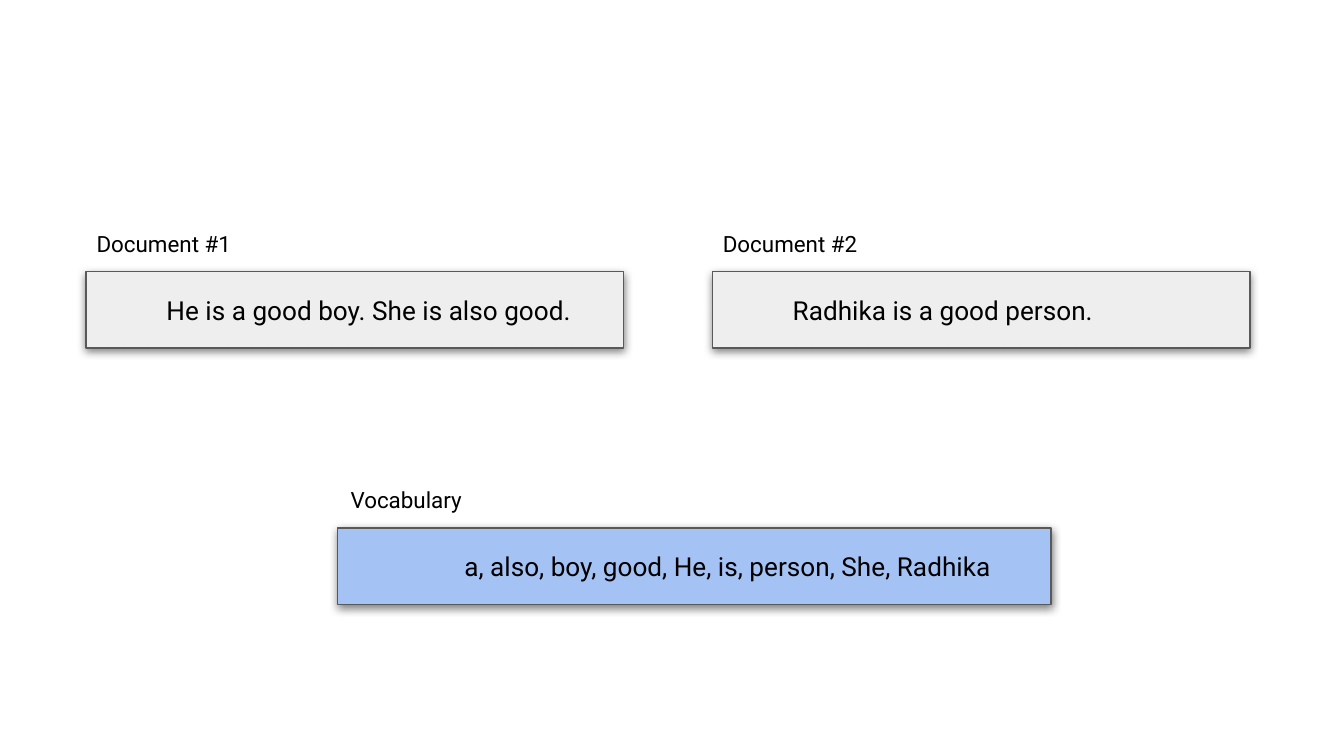
"""Build a slide with two documents and the vocabulary drawn from them."""
import pptx
import pptx.dml.color
import pptx.enum.shapes
import pptx.enum.text
import pptx.oxml
import pptx.oxml.ns
import pptx.util

Inches = pptx.util.Inches
ALIGN = pptx.enum.text.PP_ALIGN
ANCHOR = pptx.enum.text.MSO_ANCHOR

SLIDE_WIDTH = 10
SLIDE_HEIGHT = SLIDE_WIDTH * 9 / 16
COLOURS = {"text": "000000", "document": "EEEEEE", "vocabulary": "A4C2F4", "border": "595959"}
FONT = "Roboto"
LABEL_HEIGHT, BOX_HEIGHT = 0.41, 0.57
PANELS = [
    {"label": "Document #1", "words": "He is a good boy. She is also good.", "fill": "document",
     "left": 0.64, "top": 2.02, "width": 4, "label_left": 0.62, "label_width": 4, "align": ALIGN.LEFT},
    {"label": "Document #2", "words": "Radhika is a good person.", "fill": "document",
     "left": 5.3, "top": 2.02, "width": 4, "label_left": 5.28, "label_width": 4, "align": ALIGN.LEFT},
    {"label": "Vocabulary", "words": "a, also, boy, good, He, is, person, She, Radhika", "fill": "vocabulary",
     "left": 2.51, "top": 3.93, "width": 5.31, "label_left": 2.51, "label_width": 4.98, "align": ALIGN.CENTER},
]


def colour(name):
    return pptx.dml.color.RGBColor.from_string(COLOURS[name])


def write(shape, text, size, align, anchor):
    frame = shape.text_frame
    frame.text = text
    frame.word_wrap = True
    frame.vertical_anchor = anchor
    frame.margin_left = frame.margin_right = frame.margin_top = frame.margin_bottom = Inches(0.1)
    para = frame.paragraphs[0]
    para.alignment = align
    span = para.runs[0]
    span.font.name = FONT
    span.font.size = pptx.util.Pt(size)
    span.font.color.rgb = colour("text")
    return para


def add_shadow(shape):
    shape.shadow.inherit = False
    effects = shape.element.spPr.find(pptx.oxml.ns.qn("a:effectLst"))
    effects.append(pptx.oxml.parse_xml(
        f'<a:outerShdw {pptx.oxml.ns.nsdecls("a")} blurRad="{pptx.util.Pt(4.5)}" dist="{pptx.util.Pt(1.5)}" '
        f'dir="5400000" algn="bl" rotWithShape="0"><a:srgbClr val="{COLOURS["text"]}">'
        '<a:alpha val="50000"/></a:srgbClr></a:outerShdw>'))


def add_panel(slide, panel):
    box = slide.shapes.add_shape(
        pptx.enum.shapes.MSO_SHAPE.RECTANGLE, Inches(panel["left"]), Inches(panel["top"]),
        Inches(panel["width"]), Inches(BOX_HEIGHT))
    box.fill.solid()
    box.fill.fore_color.rgb = colour(panel["fill"])
    box.line.color.rgb = colour("border")
    box.line.width = pptx.util.Pt(0.75)
    add_shadow(box)
    para = write(box, panel["words"], 14, panel["align"], ANCHOR.MIDDLE)
    properties = para._p.get_or_add_pPr()
    properties.set("marL", str(Inches(0.5)))
    properties.set("indent", "0")

    label = slide.shapes.add_textbox(
        Inches(panel["label_left"]), Inches(panel["top"] - LABEL_HEIGHT),
        Inches(panel["label_width"]), Inches(LABEL_HEIGHT))
    write(label, panel["label"], 12, ALIGN.LEFT, ANCHOR.TOP)


def main():
    deck = pptx.Presentation()
    deck.slide_width, deck.slide_height = Inches(SLIDE_WIDTH), Inches(SLIDE_HEIGHT)
    slide = deck.slides.add_slide(deck.slide_layouts[6])
    for panel in PANELS:
        add_panel(slide, panel)
    deck.save("out.pptx")


if __name__ == "__main__":
    main()
